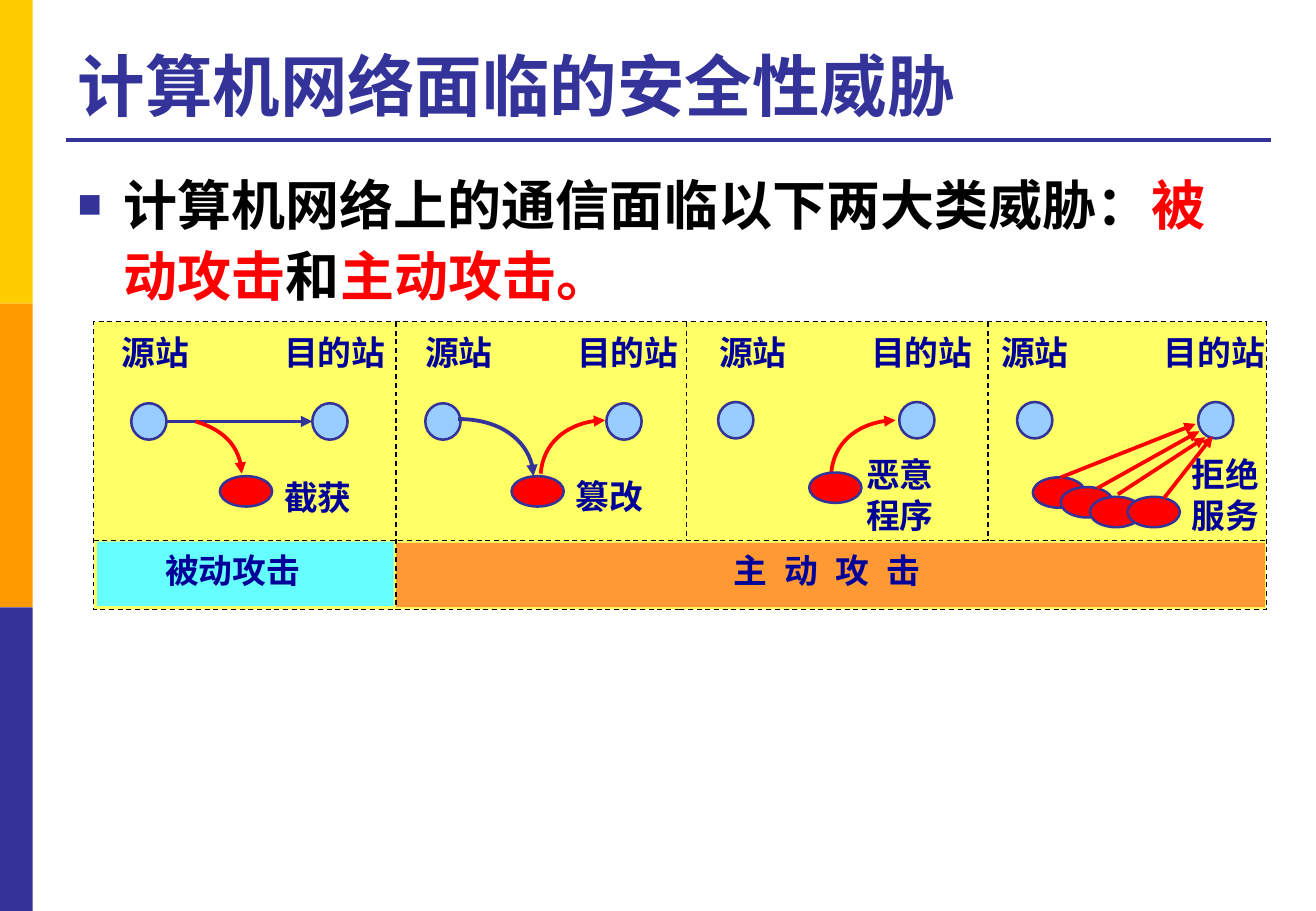
import pptx
import pptx.util
import pptx.dml.color
import pptx.enum.dml
import pptx.enum.shapes
import pptx.enum.text
import pptx.oxml
import pptx.oxml.ns
from dataclasses import dataclass

Inches, Pt = pptx.util.Inches, pptx.util.Pt
SHAPE = pptx.enum.shapes.MSO_SHAPE
ANCHOR = pptx.enum.text.MSO_ANCHOR
FIT = pptx.enum.text.MSO_AUTO_SIZE
NS = pptx.oxml.ns.nsdecls("a")


@dataclass(frozen=True)
class Theme:
    face: str = "Arial"
    navy: str = "333399"
    label: str = "000099"
    red: str = "FF0000"
    black: str = "000000"
    sky: str = "99CCFF"
    board: str = "FFFF66"
    passive: str = "66FFFF"
    active: str = "FF9933"
    side: tuple = ("FFCC00", "FF9900", "333399")
    title: int = 40
    body: int = 32
    note: int = 20
    thin: float = 0.75
    edge: float = 1.5
    bold: float = 2.25


def rgb(code):
    return pptx.dml.color.RGBColor.from_string(code)


def apply(item, values):
    for key, value in values.items():
        setattr(item, key, value)


def node(xml):
    """Build an element; the first space takes the namespace."""
    return pptx.oxml.parse_xml(xml.replace(" ", f" {NS} ", 1))


class Page:
    def __init__(self, slide, theme):
        self.slide, self.theme, self.shapes = slide, theme, slide.shapes

    def stroke(self, line, color, width, dash=False, arrow=False):
        line.color.rgb = rgb(color)
        line.width = Pt(width)
        if dash:
            line.dash_style = pptx.enum.dml.MSO_LINE.DASH
        if arrow:
            ln = line._get_or_add_ln()
            ln.append(node('<a:tailEnd type="triangle"/>'))

    def shape(self, kind, box, fill, line=None):
        item = self.shapes.add_shape(kind, *map(Inches, box))
        item.shadow.inherit = False
        item.fill.solid()
        item.fill.fore_color.rgb = rgb(fill)
        if line:
            self.stroke(item.line, *line)
        else:
            item.line.fill.background()

    def rect(self, box, fill, line=None):
        self.shape(SHAPE.RECTANGLE, box, fill, line)

    def host(self, x, y):
        t = self.theme
        self.shape(SHAPE.OVAL, (x, y, 0.29, 0.3), t.sky, (t.navy, t.edge))

    def threat(self, x, y):
        t = self.theme
        self.shape(SHAPE.OVAL, (x, y, 0.43, 0.25), t.red, (t.navy, t.edge))

    def line(self, start, end, color, width, **style):
        kind = pptx.enum.shapes.MSO_CONNECTOR.STRAIGHT
        item = self.shapes.add_connector(kind, *map(Inches, start + end))
        self.stroke(item.line, color, width, **style)
        item.element.spPr.append(node("<a:effectLst />"))

    def curve(self, points, color):
        """Draw one cubic curve, from four points, with an arrowhead."""
        first, *rest = [tuple(map(Inches, point)) for point in points]
        form = self.shapes.build_freeform(*first)
        form.add_line_segments(rest, close=False)
        item = form.convert_to_shape()
        item.shadow.inherit = False
        item.fill.background()
        self.stroke(item.line, color, self.theme.bold, arrow=True)
        bend = node("<a:cubicBezTo />")
        for step in item.element.xpath(".//a:path/a:lnTo"):
            bend.append(step[0])
            outline = step.getparent()
            outline.remove(step)
        outline.append(bend)

    def put(self, para, text, size, color):
        run = para.add_run()
        run.text = text
        apply(run.font, {"name": self.theme.face, "size": Pt(size), "bold": True})
        run.font.color.rgb = rgb(color)
        return run

    def label(self, box, *lines, gap=0):
        """Add a label; gap is letter spacing in hundredths of a point."""
        frame = self.shapes.add_textbox(*map(Inches, box)).text_frame
        apply(frame, {"word_wrap": False, "auto_size": FIT.SHAPE_TO_FIT_TEXT})
        for i, text in enumerate(lines):
            para = frame.add_paragraph() if i else frame.paragraphs[0]
            run = self.put(para, text, self.theme.note, self.theme.label)
            if gap:
                run._r.get_or_add_rPr().set("spc", str(gap))

    def title(self, box, text):
        item = self.shapes.title
        apply(item, dict(zip(("left", "top", "width", "height"), map(Inches, box))))
        frame = item.text_frame
        apply(frame, {"word_wrap": True, "auto_size": FIT.NONE,
                      "vertical_anchor": ANCHOR.BOTTOM})
        para = frame.paragraphs[0]
        para.alignment = pptx.enum.text.PP_ALIGN.LEFT
        self.put(para, text, self.theme.title, self.theme.navy)

    def bullet(self, box, parts):
        frame = self.shapes.add_textbox(*map(Inches, box)).text_frame
        frame.word_wrap = True
        para = frame.paragraphs[0]
        para.line_spacing = 1.1
        props = para._p.get_or_add_pPr()
        props.set("marL", str(Inches(0.38)))
        props.set("indent", str(Inches(-0.38)))
        for xml in (f'<a:buClr ><a:srgbClr val="{self.theme.navy}"/></a:buClr>',
                    '<a:buSzPct val="75000"/>', '<a:buFont typeface="Arial"/>',
                    '<a:buChar char="■"/>'):
            props.append(node(xml))
        for text, color in parts:
            self.put(para, text, self.theme.body, color)


def main():
    deck = pptx.Presentation()
    deck.slide_width, deck.slide_height = Inches(10.83), Inches(7.5)
    t = Theme()
    page = Page(deck.slides.add_slide(deck.slide_layouts[5]), t)

    for i, color in enumerate(t.side):
        page.rect((0, 2.5 * i, 0.27, 2.5), color)
    page.line((0.54, 1.15), (10.46, 1.15), t.navy, t.bold)
    page.title((0.54, 0.21, 9.91, 0.87), "计算机网络面临的安全性威胁")
    page.bullet((0.54, 1.31, 9.91, 1.3), [
        ("计算机网络上的通信面临以下两大类威胁：", t.black), ("被动攻击", t.red),
        ("和", t.black), ("主动攻击。", t.red)])

    # Board and its two attack classes
    left, top, right, low, base = 0.77, 2.65, 10.42, 4.45, 5.02
    page.rect((left, top, right - left, base - top), t.board, (t.black, t.thin, True))
    page.rect((3.26, 4.47, 7.15, 0.53), t.active)
    page.rect((0.8, 4.46, 2.44, 0.53), t.passive)
    page.label((1.26, 4.48, 1.33, 0.44), "被动攻击")
    page.label((5.94, 4.48, 1.79, 0.44), "主 动 攻 击", gap=280)
    for start, end in [((3.26, top), (3.26, base)), ((5.65, top), (5.65, low)),
                       ((8.13, top), (8.13, low)), ((left, low), (right, low))]:
        page.line(start, end, t.black, t.thin, dash=True)

    # Stations: host left and top, then the left of both labels
    for x, y, source, target in [(1.08, 3.32, 0.9, 2.24), (3.5, 3.32, 3.4, 4.65),
                                 (5.91, 3.31, 5.82, 7.07), (8.37, 3.31, 8.14, 9.48)]:
        page.host(x, y)
        page.host(x + 1.49, y)
        page.label((source, 2.68, 0.77, 0.44), "源站")
        page.label((target, 2.68, 1.05, 0.44), "目的站")

    # Flows
    page.line((1.37, 3.47), (2.57, 3.47), t.navy, t.bold, arrow=True)
    page.curve([(1.61, 3.47), (1.84, 3.54), (1.99, 3.71), (1.99, 3.9)], t.red)
    page.curve([(3.77, 3.45), (4.11, 3.45), (4.39, 3.66), (4.39, 3.92)], t.navy)
    for x in (4.45, 6.84):
        page.curve([(x, 3.9), (x + 0.02, 3.65), (x + 0.25, 3.46), (x + 0.53, 3.46)],
                   t.red)

    # Threats
    for x, y in [(1.81, 3.92), (4.21, 3.92), (6.66, 3.89), (8.5, 3.93),
                 (8.73, 4.01), (8.97, 4.09), (9.28, 4.09)]:
        page.threat(x, y)
    for start, end in [((8.73, 3.93), (9.84, 3.49)), ((9.03, 4.02), (9.87, 3.55)),
                       ((9.2, 4.07), (9.92, 3.6)), ((9.58, 4.1), (9.98, 3.59))]:
        page.line(start, end, t.red, t.bold, arrow=True)
    for x, y, *lines in [(2.24, 3.88, "截获"), (4.64, 3.87, "篡改"),
                         (7.03, 3.69, "恶意", "程序"), (9.71, 3.69, "拒绝", "服务")]:
        page.label((x, y, 0.77, 0.1 + 0.34 * len(lines)), *lines)

    deck.save("out.pptx")


if __name__ == "__main__":
    main()
